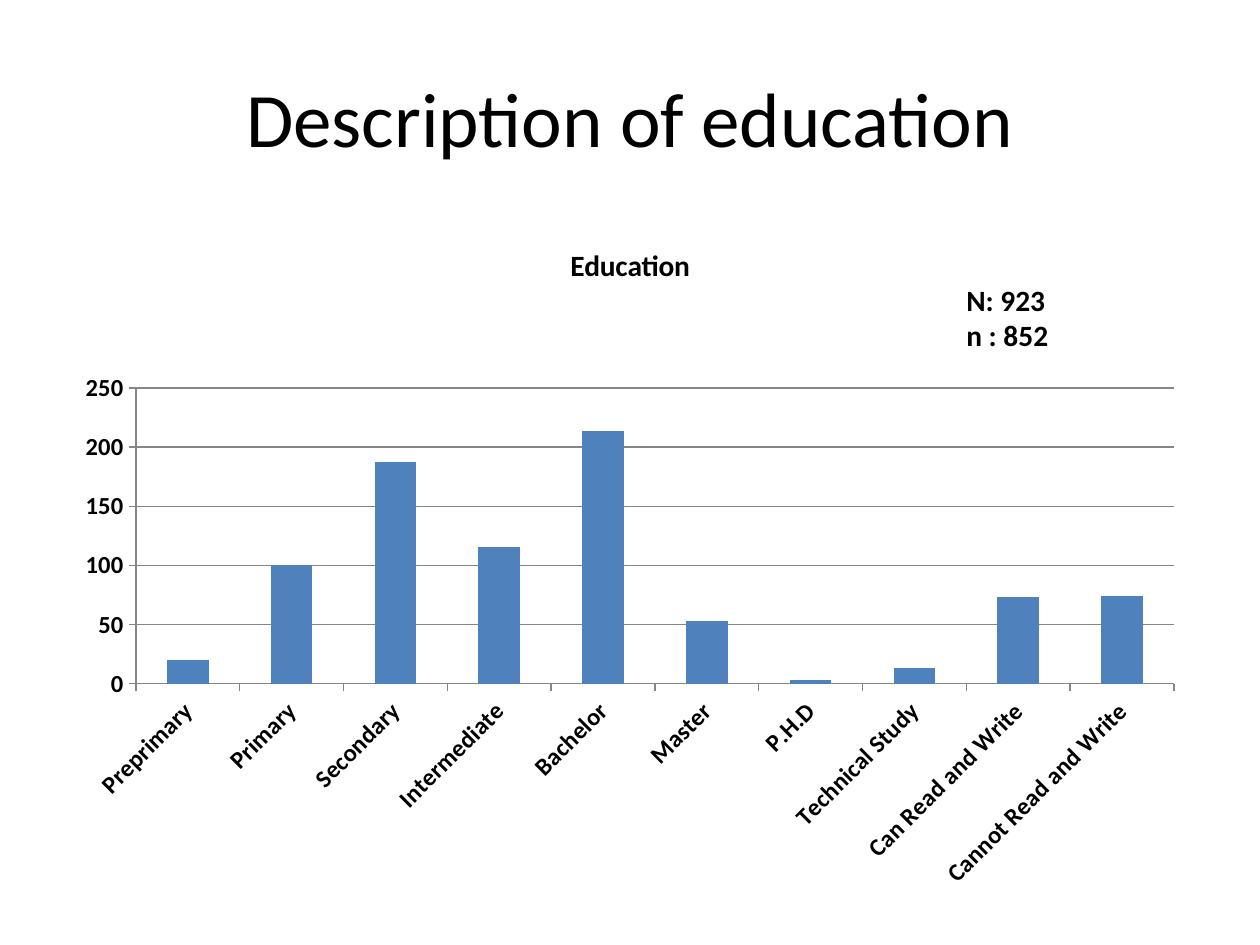
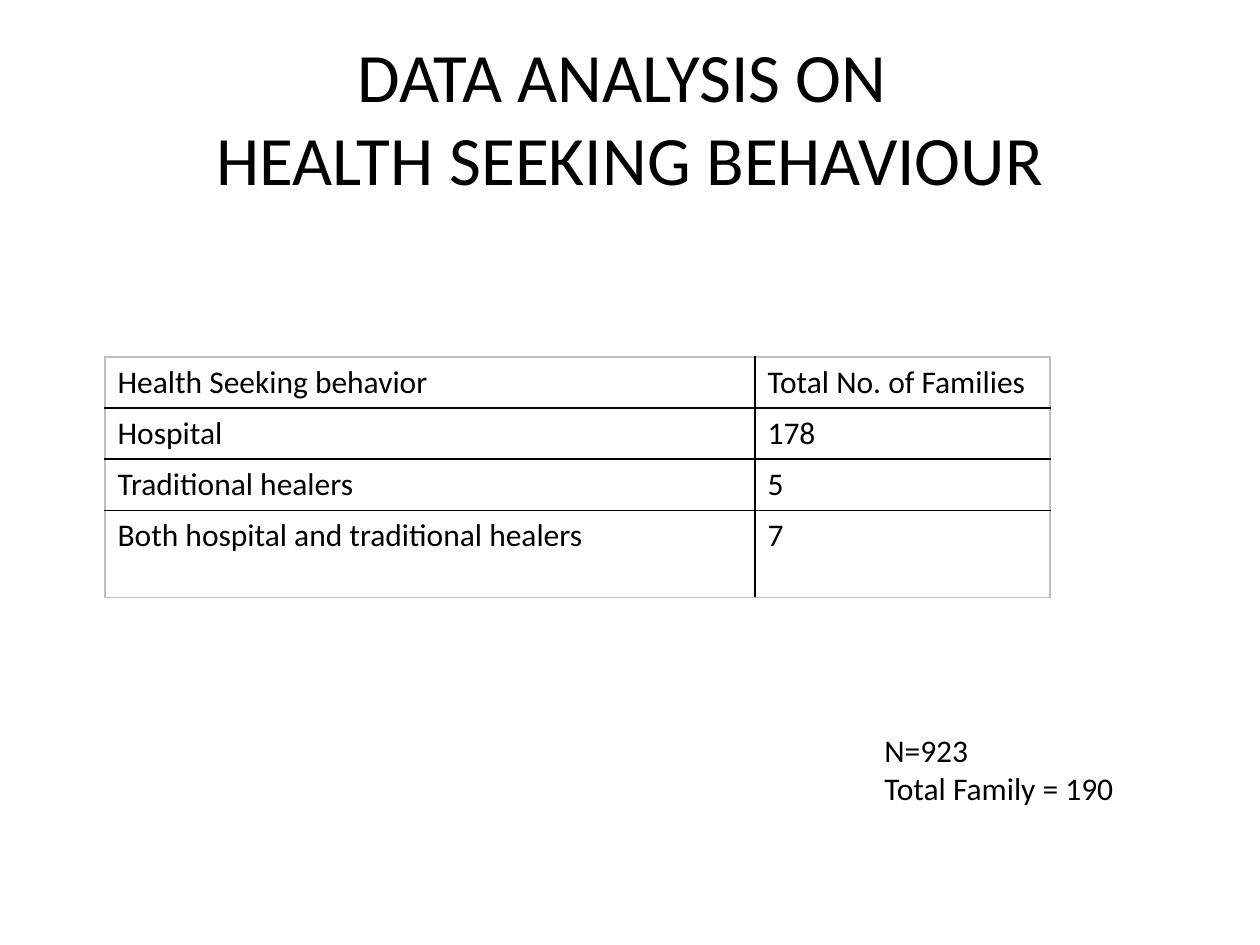
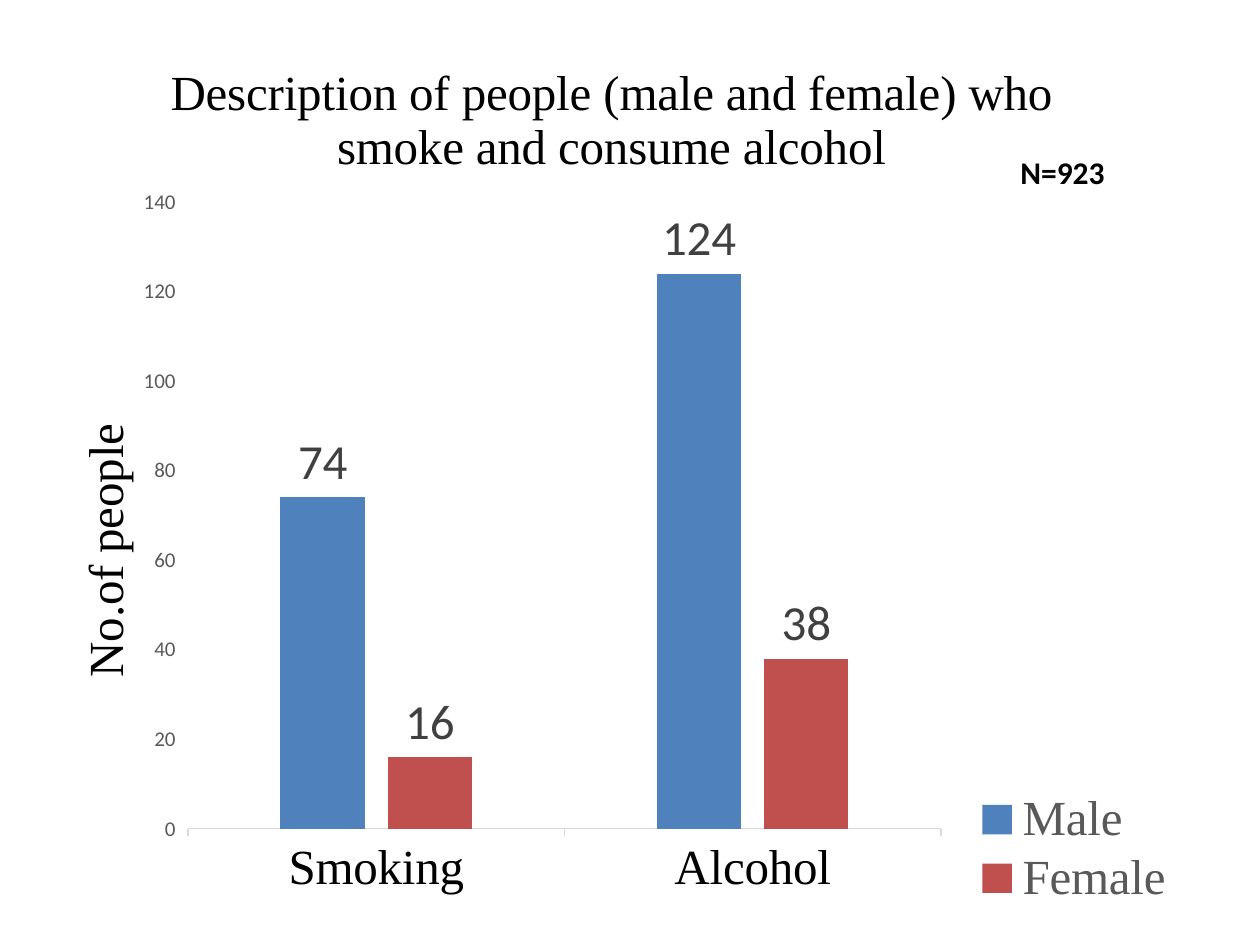
"""Build three slides on education, health seeking behaviour, and smoking and alcohol."""
from dataclasses import dataclass

from lxml import etree
from pptx import Presentation
from pptx.chart.data import CategoryChartData
from pptx.dml.color import RGBColor
from pptx.enum.chart import XL_CHART_TYPE, XL_LABEL_POSITION, XL_LEGEND_POSITION, XL_TICK_MARK
from pptx.enum.text import MSO_ANCHOR, MSO_AUTO_SIZE, PP_ALIGN
from pptx.oxml.ns import qn
from pptx.util import Emu, Pt

STACKED, CLUSTERED = XL_CHART_TYPE.COLUMN_STACKED, XL_CHART_TYPE.COLUMN_CLUSTERED
OUTSIDE_END = XL_LABEL_POSITION.OUTSIDE_END
LEGEND_RIGHT = XL_LEGEND_POSITION.RIGHT
TICK_OUT, TICK_NONE = XL_TICK_MARK.OUTSIDE, XL_TICK_MARK.NONE
MIDDLE, CENTER, LEFT = MSO_ANCHOR.MIDDLE, PP_ALIGN.CENTER, PP_ALIGN.LEFT
NO_AUTOFIT = MSO_AUTO_SIZE.NONE
TITLE_ONLY, BLANK = 5, 6
PX = 914400 / 126


@dataclass(frozen=True)
class Theme:
    sans: str = "Calibri"
    serif: str = "Times New Roman"
    ink: str = "000000"
    muted: str = "595959"
    label: str = "404040"
    axis: str = "868686"
    pale_axis: str = "D9D9D9"
    table_edge: str = "BFBFBF"
    series: tuple = ("4F81BD", "C0504D")
    title: float = 44
    long_title: float = 39.6
    large: float = 28
    body: float = 18
    caption: float = 16.8
    axis_text: float = 14
    small: float = 12


THEME = Theme()
TITLE_BOX = (63, 38, 1134, 157)

EDUCATION = {
    "title": "Description of education",
    "chart_title": "Education",
    "counts": ["N: 923", "n : 852"],
    "levels": ["Preprimary", "Primary", "Secondary", "Intermediate", "Bachelor", "Master",
               "P.H.D", "Technical Study", "Can Read and Write", "Cannot Read and Write"],
    "series": [("Series 1", [20, 100, 187, 116, 214, 53, 3, 13, 73, 74])],
    "chart_box": (63, 220, 1134, 683),
    "plot_box": (136, 388, 1038, 296),
    "counts_box": (954, 276, 200, 84),
}
HEALTH = {
    "title": "DATA ANALYSIS ON \vHEALTH SEEKING BEHAVIOUR",
    "rows": [("Health Seeking behavior", "Total No. of Families"),
             ("Hospital", "178"),
             ("Traditional healers", "5"),
             ("Both hospital and traditional healers", "7")],
    "counts": ["N=923", "Total Family = 190"],
    "table_at": (105, 357),
    "column_widths": (650, 295),
    "row_heights": (51, 51, 51, 87),
    "counts_box": (872, 725, 325, 89),
}
HABITS = {
    "chart_title": "Description of people (male and female) who smoke and consume alcohol",
    "value_title": "No.of people",
    "counts": ["N=923"],
    "habits": ["Smoking", "Alcohol"],
    "series": [("Male", [74, 124]), ("Female", [16, 38])],
    "chart_box": (32, 28, 1159, 886),
    "plot_box": (188, 202, 753, 627),
    "value_title_box": (65, 415, 50, 253),
    "legend_box": (976, 788, 200, 122),
    "counts_box": (1008, 147, 199, 50),
}


def px(*lengths):
    return [Emu(round(length * PX)) for length in lengths]


def rgb(color):
    return RGBColor.from_string(color)


def style_font(font, size=THEME.body, color=THEME.ink, face=THEME.sans, bold=False):
    font.size, font.name, font.bold = Pt(size), face, bold
    font.color.rgb = rgb(color)


def write(frame, lines, align=LEFT, **style):
    for number, line in enumerate(lines):
        paragraph = frame.add_paragraph() if number else frame.paragraphs[0]
        paragraph.text = line
        paragraph.alignment = align
        for run in paragraph.runs:
            style_font(run.font, **style)


def add_title(slide, text, size=THEME.title):
    title = slide.shapes.title
    title.left, title.top, title.width, title.height = px(*TITLE_BOX)
    frame = title.text_frame
    frame.word_wrap, frame.auto_size, frame.vertical_anchor = True, NO_AUTOFIT, MIDDLE
    write(frame, [text], align=CENTER, size=size)


def add_counts(slide, content, **style):
    frame = slide.shapes.add_textbox(*px(*content["counts_box"])).text_frame
    frame.word_wrap = True
    write(frame, content["counts"], **style)


def place(part, box, chart_box, inner=False):
    """Pin a chart part to a slide box by a manual layout."""
    for old in part.findall(qn("c:layout")):
        part.remove(old)
    layout = etree.Element(qn("c:layout"))
    manual = etree.SubElement(layout, qn("c:manualLayout"))
    left, top, width, height = chart_box
    settings = {"xMode": "edge", "yMode": "edge",
                "x": (box[0] - left) / width, "y": (box[1] - top) / height,
                "w": box[2] / width, "h": box[3] / height}
    if inner:
        settings = {"layoutTarget": "inner", **settings}
    for tag, value in settings.items():
        etree.SubElement(manual, qn(f"c:{tag}")).set("val", str(value))
    part.insert(0 if inner else 1, layout)


def add_column_chart(slide, kind, content, categories, gap, overlap, top_value, step, **title_style):
    data = CategoryChartData()
    data.categories = categories
    for name, values in content["series"]:
        data.add_series(name, values)
    chart = slide.shapes.add_chart(kind, *px(*content["chart_box"]), data).chart
    style_font(chart.font, THEME.axis_text)
    chart.has_legend = False
    chart.has_title = True
    write(chart.chart_title.text_frame, [content["chart_title"]], align=CENTER, **title_style)
    plot = chart.plots[0]
    plot.vary_by_categories = False
    plot.gap_width, plot.overlap = gap, overlap
    for series, color in zip(plot.series, THEME.series):
        series.invert_if_negative = False
        series.format.fill.solid()
        series.format.fill.fore_color.rgb = rgb(color)
    values = chart.value_axis
    values.minimum_scale, values.maximum_scale, values.major_unit = 0, top_value, step
    for axis in (chart.category_axis, values):
        axis.major_tick_mark, axis.minor_tick_mark = TICK_OUT, TICK_NONE
    plot_area = chart.category_axis._element.getparent()
    place(plot_area, content["plot_box"], content["chart_box"], inner=True)
    return chart


def draw_line(line, color):
    line.width = Pt(0.75)
    line.color.rgb = rgb(color)


def set_border(cell, side, color):
    border = etree.SubElement(cell._tc.get_or_add_tcPr(), qn(f"a:ln{side}"), w=str(Pt(1)))
    fill = etree.SubElement(border, qn("a:solidFill"))
    etree.SubElement(fill, qn("a:srgbClr"), val=color)


def build_education(prs):
    slide = prs.slides.add_slide(prs.slide_layouts[TITLE_ONLY])
    add_title(slide, EDUCATION["title"])
    chart = add_column_chart(slide, STACKED, EDUCATION, EDUCATION["levels"], 150, 100, 250, 50,
                             size=THEME.caption, bold=True)
    levels, values = chart.category_axis, chart.value_axis
    for axis in (levels, values):
        style_font(axis.tick_labels.font, THEME.axis_text, bold=True)
        draw_line(axis.format.line, THEME.axis)
    draw_line(values.major_gridlines.format.line, THEME.axis)
    levels._element.find(qn("c:txPr")).find(qn("a:bodyPr")).set("rot", "-2700000")
    add_counts(slide, EDUCATION, size=THEME.caption, bold=True)


def build_health(prs):
    slide = prs.slides.add_slide(prs.slide_layouts[TITLE_ONLY])
    add_title(slide, HEALTH["title"], THEME.long_title)
    rows, widths, heights = HEALTH["rows"], HEALTH["column_widths"], HEALTH["row_heights"]
    box = px(*HEALTH["table_at"], sum(widths), sum(heights))
    table = slide.shapes.add_table(len(rows), len(widths), *box).table
    table.first_row = table.horz_banding = False
    for column, width in zip(table.columns, px(*widths)):
        column.width = width
    for row, height in zip(table.rows, px(*heights)):
        row.height = height
    last_row, last_column = len(rows) - 1, len(widths) - 1
    for r, row in enumerate(rows):
        for c, text in enumerate(row):
            cell = table.cell(r, c)
            write(cell.text_frame, [text])
            edges = {"L": c == 0, "R": c == last_column, "T": r == 0, "B": r == last_row}
            for side, outer in edges.items():
                set_border(cell, side, THEME.table_edge if outer else THEME.ink)
            cell.fill.background()
    add_counts(slide, HEALTH)


def build_habits(prs):
    slide = prs.slides.add_slide(prs.slide_layouts[BLANK])
    serif = {"size": THEME.large, "face": THEME.serif}
    chart = add_column_chart(slide, CLUSTERED, HABITS, HABITS["habits"], 219, -27, 140, 20, **serif)
    habits, values = chart.category_axis, chart.value_axis
    style_font(habits.tick_labels.font, **serif)
    draw_line(habits.format.line, THEME.pale_axis)
    style_font(values.tick_labels.font, THEME.small, THEME.muted)
    values.format.line.fill.background()
    values.has_major_gridlines = False
    write(values.axis_title.text_frame, [HABITS["value_title"]], align=CENTER, **serif)
    place(values.axis_title._element, HABITS["value_title_box"], HABITS["chart_box"])
    for series in chart.plots[0].series:
        labels = series.data_labels
        labels.show_value, labels.position = True, OUTSIDE_END
        style_font(labels.font, THEME.large, THEME.label)
    chart.has_legend = True
    legend = chart.legend
    legend.position, legend.include_in_layout = LEGEND_RIGHT, False
    style_font(legend.font, color=THEME.muted, **serif)
    place(legend._element, HABITS["legend_box"], HABITS["chart_box"])
    add_counts(slide, HABITS, bold=True)


def main():
    prs = Presentation()
    prs.slide_width, prs.slide_height = px(1260, 945)
    for build in (build_education, build_health, build_habits):
        build(prs)
    prs.save("out.pptx")


if __name__ == "__main__":
    main()
